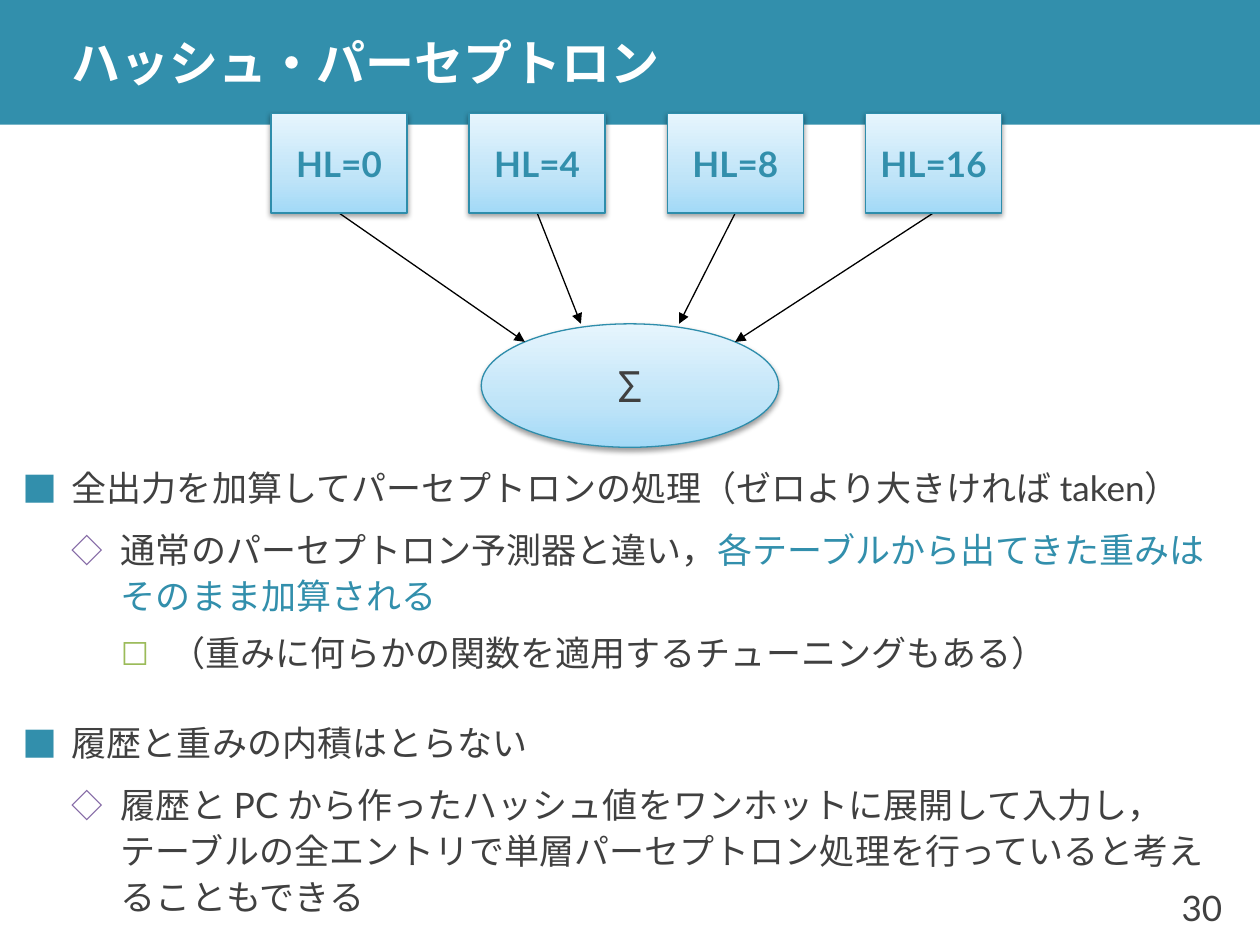
"""Build the hashed perceptron slide: weight tables summed into one node."""
import math
from dataclasses import dataclass

import lxml.etree
import pptx
import pptx.dml.color
import pptx.enum.dml
import pptx.enum.lang
import pptx.enum.shapes
import pptx.enum.text
import pptx.oxml
import pptx.oxml.ns
import pptx.util

RGB = pptx.dml.color.RGBColor
TEAL = RGB(0x32, 0x8F, 0xAC)
OUTLINE = RGB(0x2E, 0x8D, 0xAB)
INK = RGB(0x40, 0x40, 0x40)
WHITE = RGB(0xFF, 0xFF, 0xFF)
BLACK = RGB(0x00, 0x00, 0x00)
PURPLE = RGB(0x80, 0x64, 0xA2)
GREEN = RGB(0x9B, 0xBB, 0x59)
GRADIENT = ((0, RGB(0xA2, 0xD9, 0xF7)), (35, RGB(0xBF, 0xE4, 0xF8)), (100, RGB(0xE6, 0xF5, 0xFD)))

LATIN, JAPANESE = "Lato", "Noto Sans CJK JP"
NAMESPACE = pptx.oxml.ns.nsdecls("a")
SHAPES = pptx.enum.shapes.MSO_SHAPE
ALIGN = pptx.enum.text.PP_ALIGN
MIDDLE = pptx.enum.text.MSO_ANCHOR.MIDDLE
INDENT = 0.39


@dataclass(frozen=True)
class Box:
    """A rectangle in inches."""
    left: float
    top: float
    width: float
    height: float

    @property
    def center(self) -> float:
        return self.left + self.width / 2

    @property
    def lengths(self) -> list:
        return [pptx.util.Inches(v) for v in (self.left, self.top, self.width, self.height)]


@dataclass(frozen=True)
class Level:
    """Bullet and spacing of one list level."""
    bullet: str
    color: RGB
    percent: int
    before: int
    after: int


@dataclass(frozen=True)
class Item:
    """A list entry, with an optional highlighted ending."""
    level: int
    text: str
    highlight: str = ""


BAND = Box(0, 0, 10, 0.99)
TITLE = Box(0.47, 0, 9.53, 0.99)
BODY = Box(0.08, 3.95, 9.65, 3.05)
NUMBER = Box(9.13, 6.9, 0.67, 0.6)
SUM = Box(3.82, 2.57, 2.36, 0.98)
TABLE, TABLE_PITCH = Box(2.15, 0.9, 1.08, 0.79), 1.573
TABLE_LABELS = ("HL=0", "HL=4", "HL=8", "HL=16")
DIAGONAL = math.sqrt(0.5)
ARROW_ENDS = ((-DIAGONAL, DIAGONAL), (-0.33, 1), (0.33, 1), (DIAGONAL, DIAGONAL))

LEVELS = (Level("■", TEAL, 100, 24, 6), Level("◇", PURPLE, 90, 3, 3), Level("☐", GREEN, 90, 3, 1))
ITEMS = (
    Item(0, "全出力を加算してパーセプトロンの処理（ゼロより大きければ taken）"),
    Item(1, "通常のパーセプトロン予測器と違い，", "各テーブルから出てきた重みはそのまま加算される"),
    Item(2, "（重みに何らかの関数を適用するチューニングもある）"),
    Item(0, "履歴と重みの内積はとらない"),
    Item(1, "履歴と PC から作ったハッシュ値をワンホットに展開して入力し，"
            "テーブルの全エントリで単層パーセプトロン処理を行っていると考えることもできる"),
)


def format_run(run, size: float, color: RGB, bold: bool = False, face: str = LATIN) -> None:
    """Set size, colour, weight and fonts of a run."""
    run.font.size = pptx.util.Pt(size)
    run.font.bold = bold
    run.font.color.rgb = color
    run.font.name = face
    run.font.language_id = pptx.enum.lang.MSO_LANGUAGE_ID.JAPANESE
    lxml.etree.SubElement(run.font._element, pptx.oxml.ns.qn("a:ea"), typeface=JAPANESE)


def set_label(shape, text: str, size: float, color: RGB, align=ALIGN.CENTER,
              bold: bool = False, wrap: bool = False, face: str = LATIN) -> None:
    """Write one vertically centred line into a shape."""
    frame = shape.text_frame
    frame.text = text
    frame.word_wrap = wrap
    frame.vertical_anchor = MIDDLE
    frame.paragraphs[0].alignment = align
    format_run(frame.paragraphs[0].runs[0], size, color, bold, face)


def add_band(slide) -> None:
    """Draw the title band behind everything else."""
    band = slide.shapes.add_shape(SHAPES.RECTANGLE, *BAND.lengths)
    band.shadow.inherit = False
    band.fill.solid()
    band.fill.fore_color.rgb = TEAL
    band.line.fill.background()
    slide.shapes._spTree.insert(2, band._element)


def add_node(slide, kind, box: Box):
    """Draw a gradient shape with a soft shadow."""
    node = slide.shapes.add_shape(kind, *box.lengths)
    node.shadow.inherit = False
    node.line.color.rgb = OUTLINE
    node.line.width = pptx.util.Pt(0.75)
    node.fill.gradient()
    node.fill.gradient_angle = 90
    stops = node._element.spPr.find(".//" + pptx.oxml.ns.qn("a:gsLst"))
    stops.clear()
    for percent, color in GRADIENT:
        stops.append(pptx.oxml.parse_xml(
            f'<a:gs {NAMESPACE} pos="{percent * 1000}"><a:srgbClr val="{color}"/></a:gs>'))
    effects = node._element.spPr.find(pptx.oxml.ns.qn("a:effectLst"))
    effects.append(pptx.oxml.parse_xml(
        f'<a:outerShdw {NAMESPACE} blurRad="40000" dist="20000" dir="5400000" rotWithShape="0">'
        '<a:srgbClr val="000000"><a:alpha val="38000"/></a:srgbClr></a:outerShdw>'))
    return node


def add_arrow(slide, start: tuple[float, float], end: tuple[float, float]) -> None:
    """Draw a thin black arrow between two points."""
    points = [pptx.util.Inches(v) for v in (*start, *end)]
    arrow = slide.shapes.add_connector(pptx.enum.shapes.MSO_CONNECTOR.STRAIGHT, *points)
    arrow.line.color.rgb = BLACK
    arrow.line.width = pptx.util.Pt(0.75)
    lxml.etree.SubElement(arrow.line._get_or_add_ln(), pptx.oxml.ns.qn("a:tailEnd"), type="triangle")
    lxml.etree.SubElement(arrow._element.spPr, pptx.oxml.ns.qn("a:effectLst"))


def add_network(slide) -> None:
    """Draw the sum node, the arrows and the weight tables."""
    total = add_node(slide, SHAPES.OVAL, SUM)
    set_label(total, "Σ", 24, INK, face=JAPANESE)
    tables = [Box(TABLE.left + i * TABLE_PITCH, TABLE.top, TABLE.width, TABLE.height)
              for i in range(len(TABLE_LABELS))]
    for table, (across, up) in zip(tables, ARROW_ENDS):
        end = (SUM.center + across * SUM.width / 2, SUM.top + (1 - up) * SUM.height / 2)
        add_arrow(slide, (table.center, table.top + table.height), end)
    for table, label in zip(tables, TABLE_LABELS):
        set_label(add_node(slide, SHAPES.RECTANGLE, table), label, 20, TEAL, bold=True)


def format_item(paragraph, item: Item, first: bool) -> None:
    """Give a list paragraph its bullet, spacing and run formats."""
    level = LEVELS[item.level]
    paragraph.text = item.text
    paragraph.level = item.level
    properties = paragraph._p.get_or_add_pPr()
    properties.set("marL", str(pptx.util.Inches(INDENT * (item.level + 1))))
    properties.set("indent", str(pptx.util.Inches(-INDENT)))
    for xml in (f'<a:buClr {NAMESPACE}><a:srgbClr val="{level.color}"/></a:buClr>',
                f'<a:buSzPct {NAMESPACE} val="{level.percent * 1000}"/>',
                f'<a:buFont {NAMESPACE} typeface="{JAPANESE}"/>',
                f'<a:buChar {NAMESPACE} char="{level.bullet}"/>'):
        properties.append(pptx.oxml.parse_xml(xml))
    paragraph.line_spacing = 1.1
    paragraph.space_before = pptx.util.Pt(0 if first else level.before)
    paragraph.space_after = pptx.util.Pt(level.after)
    format_run(paragraph.runs[0], 20, INK)
    if item.highlight:
        ending = paragraph.add_run()
        ending.text = item.highlight
        format_run(ending, 20, TEAL)


def place(shape, box: Box) -> None:
    """Move a placeholder to a box."""
    shape.left, shape.top, shape.width, shape.height = box.lengths


def main() -> None:
    """Build and save the slide."""
    deck = pptx.Presentation()
    deck.slide_width, deck.slide_height = pptx.util.Inches(10), pptx.util.Inches(7.5)
    slide = deck.slides.add_slide(deck.slide_layouts[1])
    add_band(slide)
    title, body = slide.shapes.title, slide.placeholders[1]
    place(title, TITLE)
    set_label(title, "ハッシュ・パーセプトロン", 28, WHITE, ALIGN.LEFT, bold=True, wrap=True)
    title.text_frame.margin_top = title.text_frame.margin_bottom = 0
    place(body, BODY)
    frame = body.text_frame
    frame.vertical_anchor = MIDDLE
    frame.auto_size = pptx.enum.text.MSO_AUTO_SIZE.NONE
    for i, item in enumerate(ITEMS):
        format_item(frame.add_paragraph() if i else frame.paragraphs[0], item, i == 0)
    add_network(slide)
    set_label(slide.shapes.add_textbox(*NUMBER.lengths), "30", 20, INK, ALIGN.RIGHT)
    deck.save("out.pptx")


if __name__ == "__main__":
    main()
